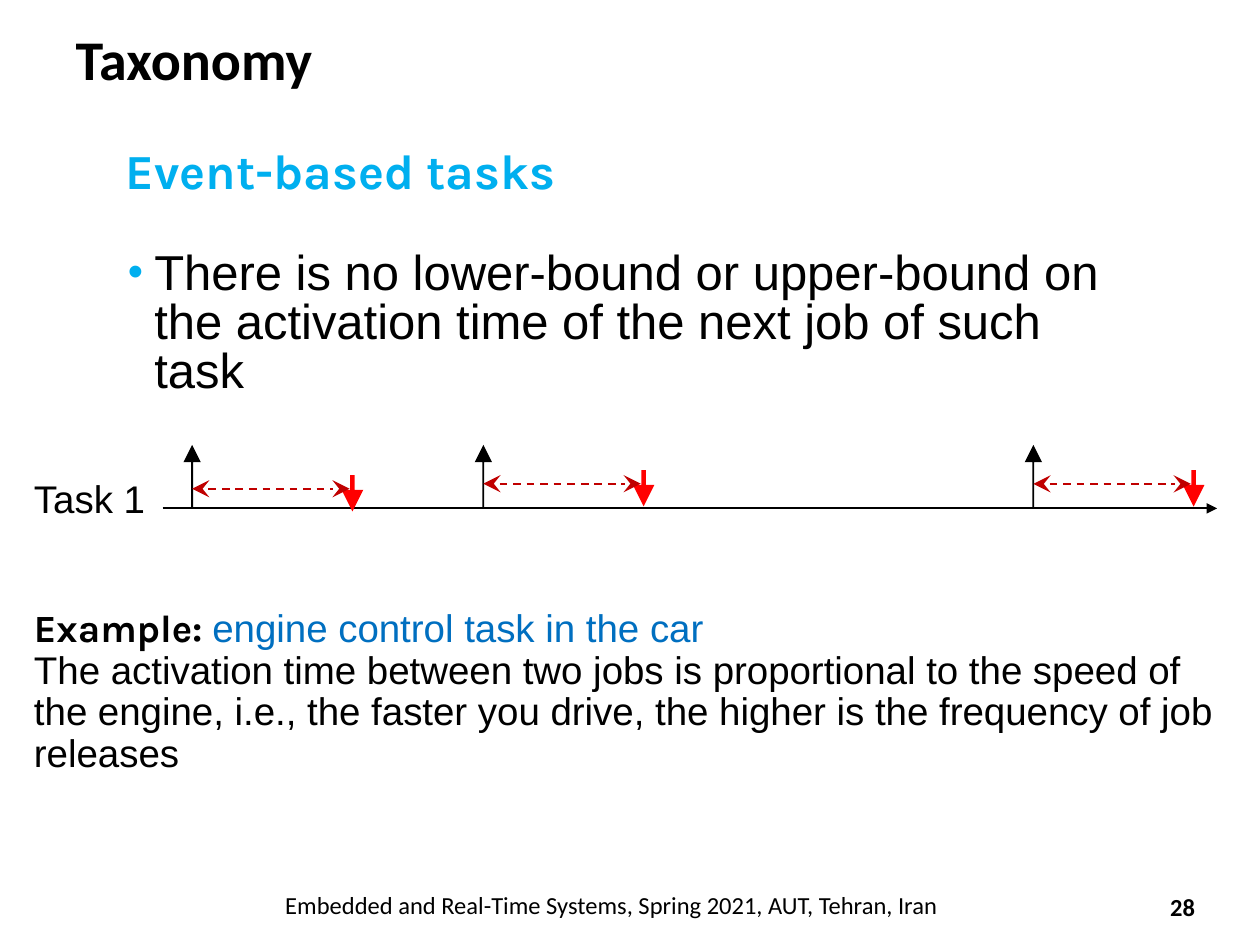
from lxml.etree import SubElement
from pptx import Presentation
from pptx.dml.color import RGBColor
from pptx.enum.dml import MSO_LINE
from pptx.enum.shapes import MSO_CONNECTOR, MSO_SHAPE
from pptx.enum.text import MSO_ANCHOR, MSO_AUTO_SIZE, PP_ALIGN
from pptx.oxml.ns import qn
from pptx.util import Pt

BLACK = RGBColor(0x00, 0x00, 0x00)
CYAN = RGBColor(0x00, 0xAF, 0xEF)
BLUE = RGBColor(0x00, 0x6F, 0xC0)
RED = RGBColor(0xFF, 0x00, 0x00)
DARK_RED = RGBColor(0xC0, 0x00, 0x00)


def place(shape, box):
    shape.left, shape.top, shape.width, shape.height = (Pt(n) for n in box)


def set_frame(shape, anchor, insets):
    frame = shape.text_frame
    frame.word_wrap = True
    frame.auto_size = MSO_AUTO_SIZE.NONE
    frame.vertical_anchor = anchor
    (frame.margin_left, frame.margin_top,
     frame.margin_right, frame.margin_bottom) = (Pt(n) for n in insets)
    return frame


def set_font(font, name, size, color, bold=False):
    font.name, font.size, font.bold = name, Pt(size), bold
    font.color.rgb = color


def set_indent(para, left, first):
    properties = para._p.get_or_add_pPr()
    properties.set("marL", str(Pt(left)))
    properties.set("indent", str(Pt(first)))
    return properties


def add_bullet(para, left, hang):
    properties = set_indent(para, left, -hang)
    color = SubElement(properties, qn("a:buClr"))
    SubElement(color, qn("a:srgbClr"), val=str(CYAN))
    SubElement(properties, qn("a:buSzPct"), val="89000")
    SubElement(properties, qn("a:buFont"), typeface="Arial")
    SubElement(properties, qn("a:buChar"), char="•")


def add_line(page, start, end, color, width, head, size, dashed=False):
    line = page.shapes.add_connector(
        MSO_CONNECTOR.STRAIGHT, *(Pt(n) for n in start + end))
    line.line.color.rgb = color
    line.line.width = Pt(width)
    ends = ["a:tailEnd"]
    if dashed:
        line.line.dash_style = MSO_LINE.DASH
        ends = ["a:headEnd", "a:tailEnd"]
    outline = line.line._get_or_add_ln()
    for tag in ends:
        SubElement(outline, qn(tag), type=head, w=size, len=size)
    SubElement(line._element.spPr, qn("a:effectLst"))


def add_block_arrow(page, kind, center, top, width, height, shaft, color):
    """Solid arrow whose head is as long as it is wide."""
    box = (center - width / 2, top, width, height)
    arrow = page.shapes.add_shape(kind, *(Pt(n) for n in box))
    arrow.adjustments[0] = shaft / width
    arrow.adjustments[1] = 1
    arrow.fill.solid()
    arrow.fill.fore_color.rgb = color
    arrow.line.fill.background()
    arrow.shadow.inherit = False


def add_title(page, box):
    title = page.shapes.title
    place(title, box)
    frame = set_frame(title, MSO_ANCHOR.MIDDLE, (7.2, 3.6, 7.2, 3.6))
    para = frame.paragraphs[0]
    para.text = "Taxonomy"
    para.alignment = PP_ALIGN.LEFT
    set_font(para.font, "Calibri", 32, BLACK, True)


def add_definition(page, box):
    body = page.placeholders[1]
    place(body, box)
    frame = set_frame(body, MSO_ANCHOR.TOP, (0, 1, 0, 0))

    heading = frame.paragraphs[0]
    heading.text = "Event-based tasks"
    SubElement(set_indent(heading, 0.7, 0), qn("a:buNone"))
    heading.space_before = Pt(0)
    set_font(heading.font, "Karla", 28, CYAN, True)

    point = frame.add_paragraph()
    point.text = ("There is no lower-bound or upper-bound on the activation "
                  "time of the next job of such task")
    add_bullet(point, 17.1, 15.1)
    point.space_before = Pt(29.9)
    point.line_spacing = Pt(28)
    set_font(point.font, "Arial", 28, BLACK)


def add_timeline(page, box):
    left, top, width, height = box
    axis = top + height
    add_line(page, (left, axis), (left + width, axis), BLACK, 1,
             "triangle", "med")
    # Each job: release, deadline and the span between them
    for offset, lift in ((16.9, 0), (183.3, 2.9), (497.6, 2.8)):
        release = left + offset
        span = axis - 11.2 - lift
        add_block_arrow(page, MSO_SHAPE.UP_ARROW, release, top,
                        9.9, height, 1, BLACK)
        add_block_arrow(page, MSO_SHAPE.DOWN_ARROW, release + 91.6,
                        axis - 19 - lift, 12.4, 20.8, 2.5, RED)
        add_line(page, (release, span), (release + 90, span), DARK_RED, 1.1,
                 "stealth", "lg", dashed=True)


def add_example(page, box):
    shape = page.shapes.add_textbox(*(Pt(n) for n in box))
    frame = set_frame(shape, MSO_ANCHOR.TOP, (0, 1, 0, 0))

    label = frame.paragraphs[0]
    label.text = "Task 1"
    set_font(label.font, "Arial", 22, BLACK)

    example = frame.add_paragraph()
    example.space_before = Pt(48.3)
    example.line_spacing = Pt(25.1)
    for text, name, color, bold in (
            ("Example: ", "Karla", BLACK, True),
            ("engine control task in the car", "Arial", BLUE, False)):
        span = example.add_run()
        span.text = text
        set_font(span.font, name, 22, color, bold)

    detail = frame.add_paragraph()
    detail.text = ("The activation time between two jobs is proportional to "
                   "the speed of the engine, i.e., the faster you drive, the "
                   "higher is the frequency of job releases")
    detail.line_spacing = Pt(23.8)
    set_font(detail.font, "Arial", 22, BLACK)

    for para in frame.paragraphs:
        set_indent(para, 0.7, 0)


def add_footer_text(page, box, text, bold=False):
    shape = page.shapes.add_textbox(*(Pt(n) for n in box))
    frame = set_frame(shape, MSO_ANCHOR.MIDDLE, (0, 0, 0, 0))
    para = frame.paragraphs[0]
    para.text = text
    para.alignment = PP_ALIGN.CENTER
    set_font(para.font, "Calibri", 14, BLACK, bold)


def main():
    deck = Presentation()
    deck.slide_width, deck.slide_height = Pt(720), Pt(540)
    page = deck.slides.add_slide(deck.slide_layouts[1])
    add_title(page, (36, 0, 648, 66.2))
    add_footer_text(page, (654.5, 504, 42.5, 28.8), "28", True)
    add_footer_text(page, (79.5, 504.7, 540, 24.5),
                    "Embedded and Real-Time Systems, Spring 2021, AUT, "
                    "Tehran, Iran")
    add_definition(page, (71.1, 79.2, 564.5, 150.5))
    add_timeline(page, (92.9, 254.2, 602.6, 36.3))
    add_example(page, (18.7, 270.7, 689.8, 175))
    deck.save("out.pptx")


if __name__ == "__main__":
    main()
